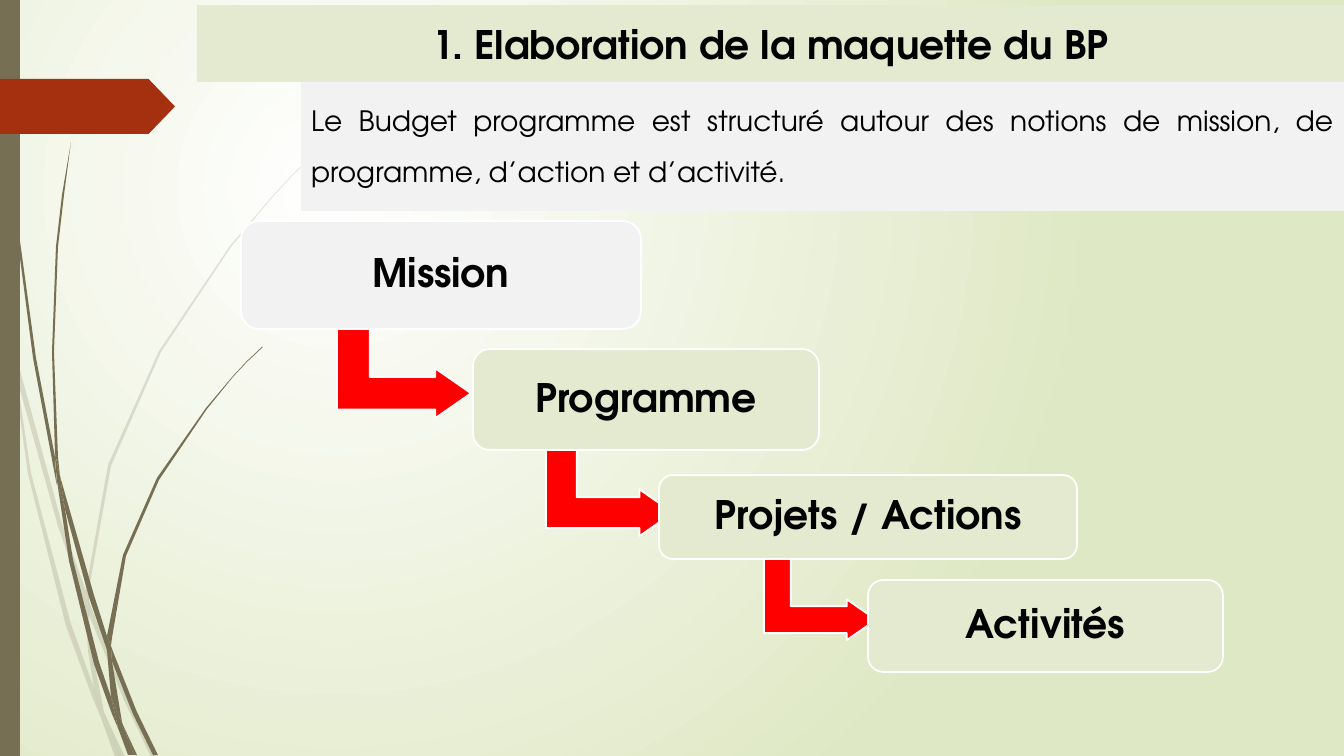
import pptx
import pptx.util
import pptx.dml.color
import pptx.enum.shapes
import pptx.enum.text
import pptx.oxml
import pptx.oxml.ns

SCALE = 12192000 / 1344
FONT = "TeX Gyre Adventor"
SHAPE = pptx.enum.shapes.MSO_SHAPE
ALIGN = pptx.enum.text.PP_ALIGN
MIDDLE = pptx.enum.text.MSO_ANCHOR.MIDDLE
OLIVE, PALE, GREY = "766F54", "E3EACF", "F2F2F2"

# Outlines of the pieces that make up the grass
FAINT = [
    [(11, 353), (9, 325), (0, 284), (0, 301), (10, 347)],
    [(58, 526), (85, 604), (86, 591), (62, 524), (14, 348), (17, 379)],
    [(93, 612), (89, 601), (89, 615), (124, 700), (151, 757), (156, 757),
     (128, 698)],
    [(120, 757), (125, 757), (106, 717)],
    [(94, 688), (71, 624), (31, 473), (17, 379), (11, 353), (28, 474),
     (66, 626), (93, 699), (102, 720), (100, 713)],
    [(85, 604), (88, 651), (94, 688), (97, 698), (106, 717), (104, 712),
     (92, 651), (89, 615), (89, 613)],
    [(89, 589), (111, 466), (161, 352), (231, 247), (270, 200), (292, 176),
     (314, 155), (314, 154), (291, 176), (270, 199), (230, 246), (159, 351),
     (108, 465), (86, 589), (86, 591), (89, 601)],
    [(102, 720), (115, 757), (120, 757)],
    [(89, 613), (89, 615), (89, 601), (86, 591), (85, 604)],
    [(97, 698), (94, 688), (100, 713), (102, 720), (120, 757), (106, 717)],
]
DARK = [
    [(7, 111), (17, 235), (33, 358), (56, 481), (57, 485), (55, 461),
     (55, 457), (36, 358), (19, 234), (8, 110), (5, 48), (4, 0), (3, 0),
     (4, 48)],
    [(89, 597), (107, 650), (107, 638), (107, 636), (94, 595), (60, 476),
     (65, 509)],
    [(114, 654), (111, 646), (112, 661), (133, 714), (153, 755), (158, 755),
     (137, 712)],
    [(111, 697), (99, 662), (73, 560), (65, 509), (57, 481), (69, 561),
     (94, 664), (112, 714), (118, 728), (117, 723)],
    [(60, 476), (58, 457), (54, 352), (58, 247), (64, 195), (71, 142),
     (62, 195), (56, 247), (52, 352), (55, 453)],
    [(134, 755), (137, 755), (123, 725)],
    [(57, 481), (65, 509), (60, 476), (55, 453), (55, 457)],
    [(112, 638), (126, 556), (159, 480), (207, 409), (233, 377), (247, 362),
     (263, 347), (262, 347), (247, 361), (233, 376), (206, 408), (157, 478),
     (123, 555), (107, 636), (111, 646)],
    [(118, 728), (128, 755), (132, 755)],
    [(107, 650), (111, 697), (117, 712), (123, 725), (122, 722), (112, 661),
     (110, 656)],
    [(107, 650), (110, 656), (112, 661), (111, 646), (107, 636)],
    [(117, 712), (111, 697), (117, 723), (118, 728), (131, 755), (134, 755),
     (123, 725)],
]

# Label, box, fill and the arrow leading on to the next step
STEPS = [
    ("Mission", (241, 221, 400, 108), GREY, (337, 319, 134, 99)),
    ("Programme", (473, 349, 346, 101), PALE, (546, 443, 127, 93)),
    ("Projets / Actions", (659, 475, 418, 84), PALE, (764, 559, 112, 81)),
    ("Activités", (868, 580, 355, 92), PALE, None),
]


def px(n):
    return pptx.util.Emu(round(n * SCALE))


def rgb(code):
    return pptx.dml.color.RGBColor.from_string(code)


def paint(shape, fill, edge=None):
    shape.fill.solid()
    shape.fill.fore_color.rgb = rgb(fill)
    if edge:
        shape.line.color.rgb = rgb(edge)
        shape.line.width = pptx.util.Pt(1.25)
    else:
        shape.line.fill.background()


def draw(slide, kind, box, fill, edge=None):
    shape = slide.shapes.add_shape(kind, *map(px, box))
    shape.shadow.inherit = False
    paint(shape, fill, edge)
    return shape


def write(shape, text, size, align, bold=True):
    frame = shape.text_frame
    frame.word_wrap = True
    frame.auto_size = pptx.enum.text.MSO_AUTO_SIZE.NONE
    frame.text = text
    para = frame.paragraphs[0]
    para.alignment = align
    para.font.name = FONT
    para.font.size = pptx.util.Pt(size)
    para.font.bold = bold
    para.font.color.rgb = rgb("000000")
    return para


def place(shape, box, fill):
    """Move a placeholder to its box, in front of what is drawn so far."""
    shape.left, shape.top, shape.width, shape.height = map(px, box)
    paint(shape, fill)
    shape.element.getparent().append(shape.element)


def blade(slide, edge, alpha=None):
    pen = slide.shapes.build_freeform(*edge[0], scale=SCALE)
    pen.add_line_segments(edge[1:], close=True)
    shape = pen.convert_to_shape()
    shape.shadow.inherit = False
    paint(shape, OLIVE)
    if alpha:
        node = shape.element.find(".//" + pptx.oxml.ns.qn("a:srgbClr"))
        node.append(pptx.oxml.parse_xml(
            f'<a:alpha {pptx.oxml.ns.nsdecls("a")} val="{alpha * 1000}"/>'))


def backdrop(slide):
    fill = slide.background.fill
    fill.gradient()
    for stop, code, pos in zip(fill.gradient_stops, ("FFFFFF", "DFE8C4"), (0, 1)):
        stop.color.rgb = rgb(code)
        stop.position = pos
    line = slide.element.find(".//" + pptx.oxml.ns.qn("a:lin"))
    line.getparent().replace(line, pptx.oxml.parse_xml(
        f'<a:path {pptx.oxml.ns.nsdecls("a")} path="circle">'
        '<a:fillToRect l="50000" t="50000" r="100000" b="100000"/></a:path>'))


def margin(slide):
    for edge in FAINT:
        blade(slide, edge, 20)
    for edge in DARK:
        blade(slide, edge)
    draw(slide, SHAPE.RECTANGLE, (0, 0, 20, 756), OLIVE)
    flag = draw(slide, SHAPE.PENTAGON, (0, 79, 175, 55), "A53010")
    flag.adjustments[0] = 0.48


def heading(slide, box):
    title = slide.shapes.title
    place(title, box, PALE)
    write(title, "1. Elaboration de la maquette du BP", 28, ALIGN.CENTER)
    title.text_frame.vertical_anchor = MIDDLE


def intro(slide, box):
    body = slide.placeholders[1]
    place(body, box, GREY)
    para = write(body, "Le Budget programme est structuré autour des notions de "
                 "mission, de programme, d’action et d’activité.",
                 20, ALIGN.JUSTIFY, False)
    para.line_spacing = 1.5
    para.space_before = pptx.util.Pt(10)
    props = para._p.get_or_add_pPr()
    props.set("marL", "0")
    props.set("indent", "0")
    props.append(pptx.oxml.parse_xml(f'<a:buNone {pptx.oxml.ns.nsdecls("a")}/>'))


def elbow(slide, box):
    """Draw a down-then-right arrow that fills the box once it is turned."""
    x, y, w, h = box
    turned = (x + (w - h) / 2, y + (h - w) / 2, h, w)
    arrow = draw(slide, SHAPE.BENT_UP_ARROW, turned, "FF0000", "FFFFFF")
    arrow.rotation = 90
    for i, value in enumerate((0.33, 0.25, 0.36)):
        arrow.adjustments[i] = value


def cascade(slide):
    for label, box, fill, bend in STEPS:
        if bend:
            elbow(slide, bend)
        step = draw(slide, SHAPE.ROUNDED_RECTANGLE, box, fill, "FFFFFF")
        write(step, label, 28, ALIGN.CENTER).line_spacing = 0.9
        step.text_frame.vertical_anchor = MIDDLE


def main():
    deck = pptx.Presentation()
    deck.slide_width, deck.slide_height = px(1344), px(756)
    slide = deck.slides.add_slide(deck.slide_layouts[1])
    backdrop(slide)
    margin(slide)
    heading(slide, (197, 5, 1147, 77))
    cascade(slide)
    intro(slide, (301, 82, 1043, 129))
    deck.save("out.pptx")


if __name__ == "__main__":
    main()
